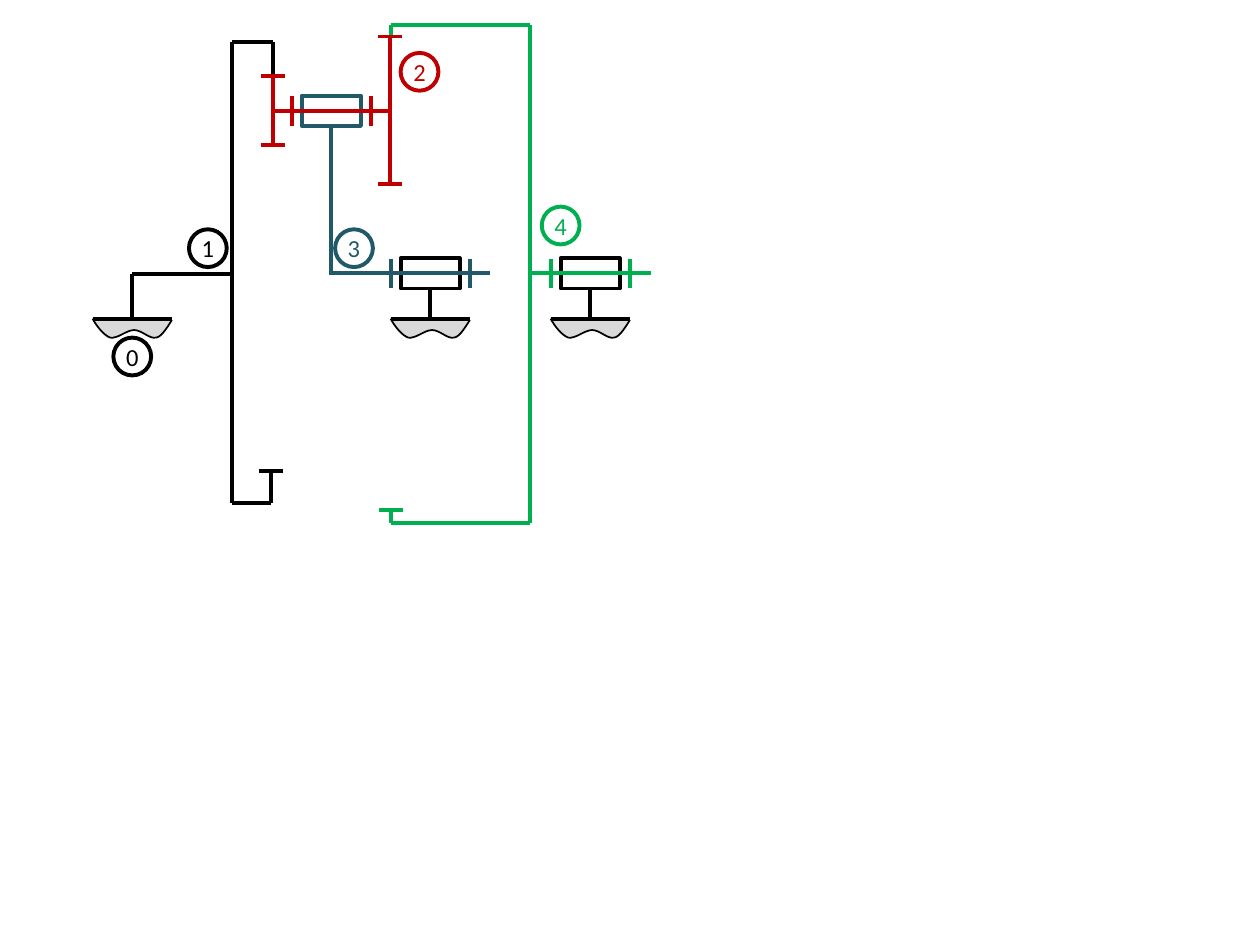
from itertools import pairwise

from lxml.etree import SubElement
from pptx import Presentation
from pptx.dml.color import RGBColor
from pptx.enum.shapes import MSO_CONNECTOR, MSO_SHAPE
from pptx.enum.text import MSO_ANCHOR, PP_ALIGN
from pptx.oxml import parse_xml
from pptx.oxml.ns import nsdecls, qn
from pptx.util import Inches, Pt

COLORS = {"frame": "000000", "planet": "C00000", "carrier": "215968",
          "output": "00B050", "soil": "D9D9D9"}
FRAME = {"margin_left": 0, "margin_right": 0, "margin_top": 0,
         "margin_bottom": 0, "vertical_anchor": MSO_ANCHOR.MIDDLE,
         "word_wrap": True}
FONT = {"size": Pt(14), "name": "Calibri"}
COLS, ROWS = 100, 75
SOIL_W = 6.3
# Underside of the soil: two handles and an end point for each curve.
SOIL = [((0.4, 0.7), (0.9, 1.3), (1.4, 1.5)),
        ((2, 1.6), (2.7, 0.9), (3.3, 0.9)),
        ((3.9, 0.9), (4.5, 1.6), (5, 1.5)),
        ((5.4, 1.5), (5.8, 0.9), (6.3, 0.1))]
STEPS = 8

deck = Presentation()
deck.slide_width, deck.slide_height = Inches(10), Inches(7.5)
slide = deck.slides.add_slide(deck.slide_layouts[6])
shapes = slide.shapes


def grid(x, y):
    """Turn columns and rows into slide lengths."""
    return round(x * deck.slide_width / COLS), round(y * deck.slide_height / ROWS)


def tint(name):
    return RGBColor.from_string(COLORS[name])


def style(obj, values):
    for key, value in values.items():
        setattr(obj, key, value)


def line(color, start, end):
    rod = shapes.add_connector(MSO_CONNECTOR.STRAIGHT, *grid(*start), *grid(*end))
    rod.line.color.rgb = tint(color)
    rod.line.width = Pt(2.25)
    SubElement(rod._element.spPr, qn("a:effectLst"))
    return rod


def chain(color, *points):
    for start, end in pairwise(points):
        line(color, start, end)


def outline(kind, color, x, y, w, h):
    """Add an unfilled shape centred on x, y."""
    shape = shapes.add_shape(kind, *grid(x - w / 2, y - h / 2), *grid(w, h))
    shape.shadow.inherit = False
    shape.fill.background()
    shape.line.color.rgb = tint(color)
    shape.line.width = Pt(2.25)
    return shape


def label(text, color, x, y):
    frame = outline(MSO_SHAPE.OVAL, color, x, y, 3, 3).text_frame
    style(frame, FRAME)
    para = frame.paragraphs[0]
    para.alignment = PP_ALIGN.CENTER
    run = para.add_run()
    run.text = text
    style(run.font, FONT)
    run.font.color.rgb = tint(color)
    run._r.get_or_add_rPr().insert(0, parse_xml(
        f'<a:ln {nsdecls("a")} w="{Pt(0.75)}"><a:solidFill>'
        f'<a:srgbClr val="{COLORS[color]}"/></a:solidFill></a:ln>'))


def bezier(ends, t):
    weights = ((1 - t) ** 3, 3 * t * (1 - t) ** 2, 3 * t * t * (1 - t), t ** 3)
    return [sum(w * p[i] for w, p in zip(weights, ends)) for i in (0, 1)]


def ground(x, y):
    """Draw fixed soil with its top side centred on x, y."""
    left = x - SOIL_W / 2
    points, last = [], (0, 0)
    for curve in SOIL:
        points += [bezier((last, *curve), n / STEPS) for n in range(1, STEPS + 1)]
        last = curve[-1]
    path = shapes.build_freeform(*grid(left, y))
    path.add_line_segments([grid(left + a, y + b) for a, b in points], close=False)
    soil = path.convert_to_shape()
    soil.shadow.inherit = False
    soil.fill.solid()
    soil.fill.fore_color.rgb = tint("soil")
    soil.line.color.rgb = tint("frame")
    soil.line.width = Pt(1)
    line("frame", (left, y), (left + SOIL_W, y))


def bearing(case, shaft, x, y, start, end):
    """Draw a sleeve centred on x, y with a shaft from start to end."""
    sleeve = outline(MSO_SHAPE.RECTANGLE, case, x, y, 4.7, 2.4)
    for side in (x - 3.15, x + 3.15):
        line(shaft, (side, y - 1.17), (side, y + 1.17))
    line(shaft, (start, y), (end, y))
    return sleeve


def post(color, sleeve, x, y, end):
    line(color, (x, y + 1.2), (x, end)).begin_connect(sleeve, 2)


def tooth(color, x, y):
    line(color, (x - 0.95, y), (x + 0.95, y))


def gear(color, x, top, bottom):
    line(color, (x, top), (x, bottom))
    for y in (top, bottom):
        tooth(color, x, y)


def ring(color, web, top, bottom, rim, mesh, foot, heel):
    """Draw a ring gear: rim drops to mesh above, foot rises to heel below."""
    chain(color, (rim, mesh), (rim, top), (web, top), (web, bottom),
          (foot, bottom), (foot, heel))
    tooth(color, foot, heel)


def support():
    ground(10.5, 25.3)
    chain("frame", (10.5, 25.3), (10.5, 21.75), (18.4, 21.75))
    ring("frame", 18.4, 3.3, 39.9, 21.7, 6, 21.5, 37.4)


def carrier():
    sleeve = bearing("carrier", "planet", 26.3, 8.8, 21.7, 31)
    post("carrier", sleeve, 26.3, 8.8, 21.8)
    for x, shaft, start, end in ((34.15, "carrier", 26.3, 38.9),
                                 (46.85, "output", 42.1, 51.7)):
        ground(x, 25.3)
        sleeve = bearing("frame", shaft, x, 21.7, start, end)
        post("frame", sleeve, x, 21.7, 25.3)


def gears():
    ring("output", 42.1, 2, 41.5, 31, 2.9, 31.05, 40.5)
    gear("planet", 21.65, 6, 11.5)
    gear("planet", 30.97, 2.9, 14.6)


def labels():
    for item in (("0", "frame", 10.5, 28.3), ("1", "frame", 16.5, 19.7),
                 ("2", "planet", 33.3, 5.7), ("3", "carrier", 28.1, 19.7),
                 ("4", "output", 44.5, 17.9)):
        label(*item)


def main():
    support()
    carrier()
    gears()
    labels()
    deck.save("out.pptx")


if __name__ == "__main__":
    main()
